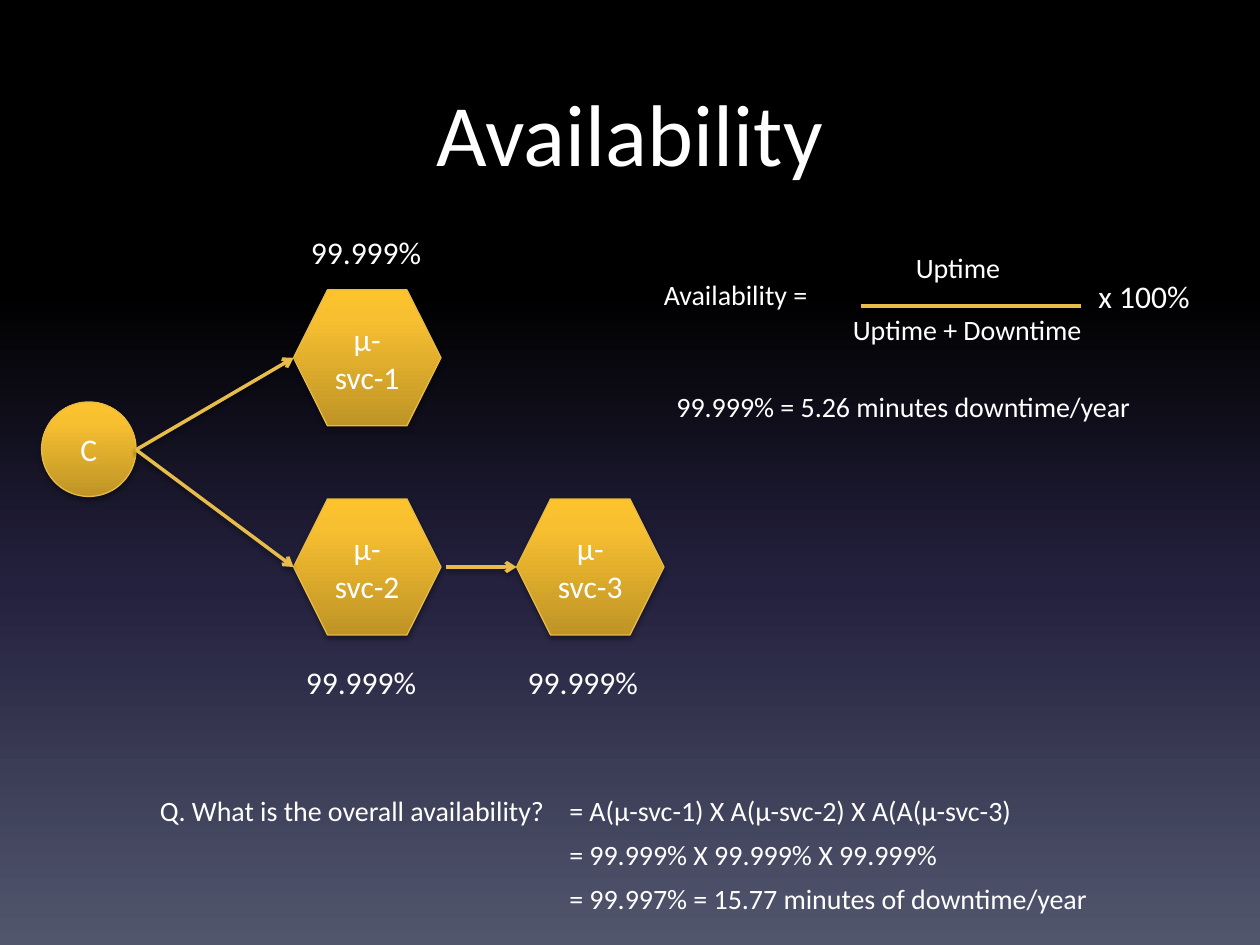
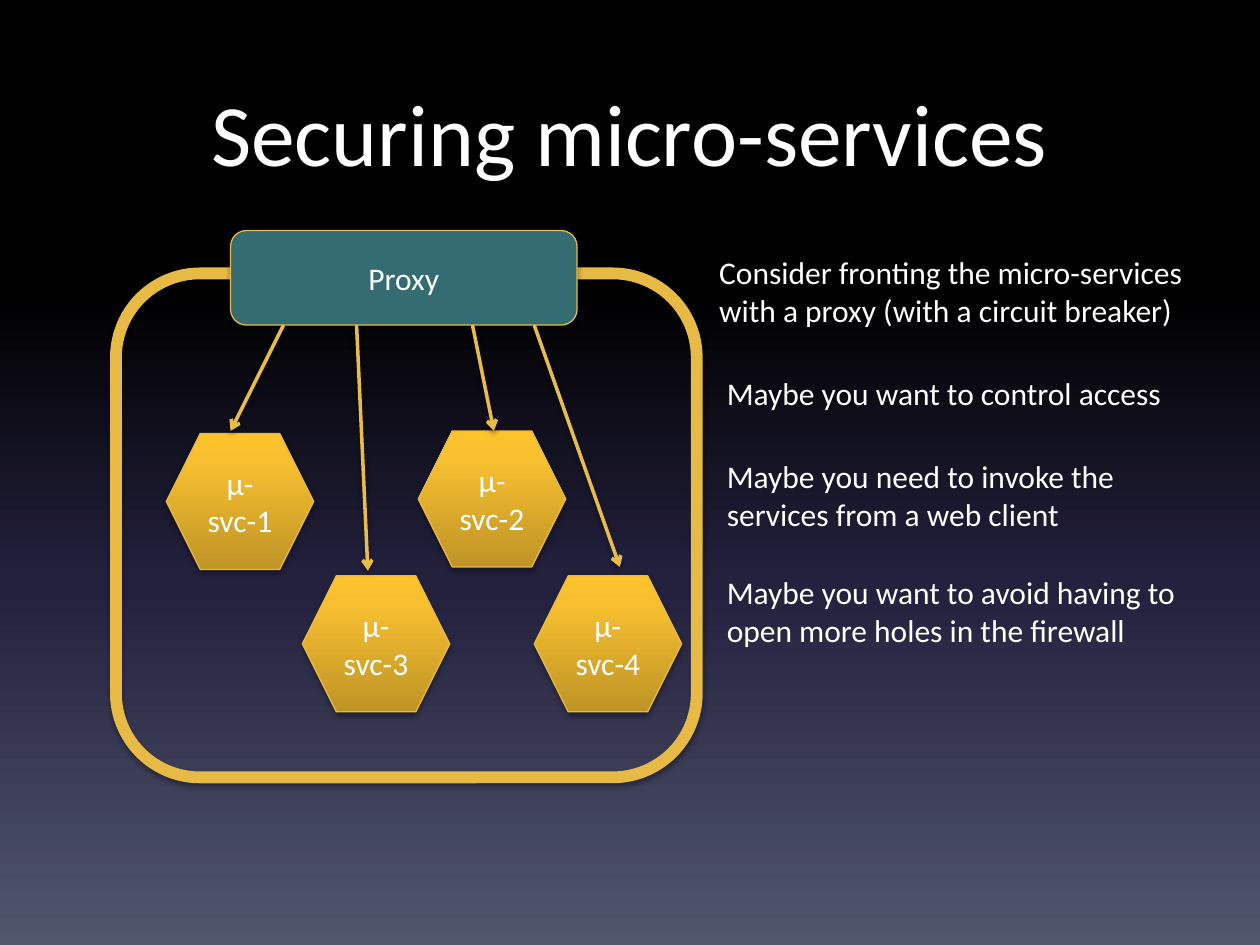
from lxml import etree
from pptx import Presentation
from pptx.dml.color import RGBColor
from pptx.enum.shapes import MSO_CONNECTOR, MSO_SHAPE
from pptx.enum.text import MSO_ANCHOR, MSO_AUTO_SIZE, PP_ALIGN
from pptx.oxml.ns import qn
from pptx.util import Inches, Pt

CENTER, LEFT = PP_ALIGN.CENTER, PP_ALIGN.LEFT
MIDDLE = MSO_ANCHOR.MIDDLE
GROW = MSO_AUTO_SIZE.SHAPE_TO_FIT_TEXT
OVAL, HEX, ROUND = MSO_SHAPE.OVAL, MSO_SHAPE.HEXAGON, MSO_SHAPE.ROUNDED_RECTANGLE
STRAIGHT = MSO_CONNECTOR.STRAIGHT

WHITE = RGBColor(0xFF, 0xFF, 0xFF)
BLACK = RGBColor(0x00, 0x00, 0x00)
NAVY = RGBColor(0x24, 0x21, 0x3E)
SLATE = RGBColor(0x51, 0x56, 0x6D)
TEAL = RGBColor(0x34, 0x6C, 0x71)
EDGE = RGBColor(0xE7, 0xBA, 0x45)
ARROW = RGBColor(0xE8, 0xBC, 0x4A)
DARK = RGBColor(0xBF, 0x94, 0x26)
GOLD = RGBColor(0xF8, 0xC0, 0x31)
BRIGHT = RGBColor(0xFD, 0xC3, 0x2D)
SKY = [(0, BLACK), (31, BLACK), (62, NAVY), (100, SLATE)]
METAL = [(0, DARK), (80, GOLD), (100, BRIGHT)]
FONT = "Calibri"


def write(frame, text, size=18, align=LEFT):
    frame.word_wrap = True
    para = frame.paragraphs[0]
    para.text = text
    para.alignment = align
    font = para.runs[0].font
    font.name, font.size, font.color.rgb = FONT, Pt(size), WHITE


def blend(fill, root, stops, angle):
    fill.gradient()
    fill.gradient_angle = angle
    track = next(root.iter(qn("a:gsLst")))
    for old in list(track):
        track.remove(old)
    for pos, color in stops:
        stop = etree.SubElement(track, qn("a:gs"), pos=str(pos * 1000))
        etree.SubElement(stop, qn("a:srgbClr"), val=str(color))


prs = Presentation()
prs.slide_width, prs.slide_height = Inches(10), Inches(7.5)

# Shared background and titles
master = prs.slide_master
blend(master.background.fill, master.element.cSld, SKY, 270)
pages = []
for name in ("Availability", "Securing micro-services"):
    page = prs.slides.add_slide(prs.slide_layouts[5])
    title = page.shapes.title
    title.left, title.top = Inches(0.5), Inches(0.5)
    title.width, title.height = Inches(9), Inches(1.25)
    title.text_frame.vertical_anchor = MIDDLE
    title.text_frame.margin_bottom = Inches(0.22)
    write(title.text_frame, name, size=50, align=CENTER)
    pages.append(page)
avail, secure = pages

# Nodes: page, shape, left, top, width, height, text, fill, line width
nodes = [
    (avail, OVAL, 0.33, 3.19, 0.75, 0.75, "C", METAL, 0.75),
    (secure, ROUND, 0.92, 2.17, 4.61, 4, "", None, 6.75),
    (secure, ROUND, 1.83, 1.83, 2.75, 0.75, "Proxy", TEAL, 0.75),
]
for page, spots in (
    (avail, [(2.33, 2.3), (2.33, 3.96), (4.1, 3.96)]),
    (secure, [(1.32, 3.44), (3.32, 3.42), (2.4, 4.57), (4.24, 4.57)]),
):
    for num, (x, y) in enumerate(spots, 1):
        nodes.append((page, HEX, x, y, 1.17, 1.08, f"μ-svc-{num}", METAL, 0.75))

shaded = []
for page, kind, x, y, w, h, text, paint, width in nodes:
    node = page.shapes.add_shape(kind, Inches(x), Inches(y), Inches(w), Inches(h))
    if paint is METAL:
        blend(node.fill, node.element.spPr, METAL, 90)
    elif paint:
        node.fill.solid()
        node.fill.fore_color.rgb = paint
    else:
        node.fill.background()
    node.line.color.rgb, node.line.width = EDGE, Pt(width)
    node.shadow.inherit = False
    shaded.append((node.element.spPr.find(qn("a:effectLst")), 1.8, 35))
    if text:
        node.text_frame.vertical_anchor = MIDDLE
        write(node.text_frame, text, align=CENTER)

# Arrows and the fraction bar: page, start, end, has arrowhead
links = [
    (avail, (1.08, 3.57), (2.33, 2.84), True),
    (avail, (1.08, 3.57), (2.33, 4.5), True),
    (avail, (3.54, 4.5), (4.1, 4.5), True),
    (avail, (6.83, 2.43), (8.58, 2.43), False),
    (secure, (2.25, 2.58), (1.83, 3.42), True),
    (secure, (2.83, 2.58), (2.92, 4.53), True),
    (secure, (3.75, 2.58), (3.92, 3.42), True),
    (secure, (4.24, 2.58), (4.92, 4.5), True),
]
for page, start, end, head in links:
    ends = [Inches(v) for v in start + end]
    link = page.shapes.add_connector(STRAIGHT, *ends)
    link.line.color.rgb, link.line.width = ARROW, Pt(2)
    props = link.element.spPr
    if head:
        etree.SubElement(props.find(qn("a:ln")), qn("a:tailEnd"), type="arrow")
    shaded.append((etree.SubElement(props, qn("a:effectLst")), 1.6, 38))

# Soft shadow straight below nodes and links
for effect, drop, alpha in shaded:
    shade = etree.SubElement(
        effect, qn("a:outerShdw"), blurRad=str(Pt(3.1)), dist=str(Pt(drop)),
        dir="5400000", rotWithShape="0")
    tint = etree.SubElement(shade, qn("a:srgbClr"), val=str(BLACK))
    etree.SubElement(tint, qn("a:alpha"), val=str(alpha * 1000))

# Text: page, left, top, width, height, size, words
notes = [
    (avail, 5.17, 2.15, 1.67, 0.37, 16, "Availability ="),
    (avail, 7.17, 1.94, 1.67, 0.37, 16, "Uptime"),
    (avail, 6.67, 2.43, 2.75, 0.37, 16, "Uptime + Downtime"),
    (avail, 8.62, 2.15, 1.67, 0.4, 18, "x 100%"),
    (avail, 5.27, 3.04, 4.42, 0.37, 16, "99.999% = 5.26 minutes downtime/year"),
    (avail, 1.17, 6.25, 3.58, 0.37, 16, "Q. What is the overall availability?"),
    (secure, 5.61, 1.96, 4, 0.71, 18,
     "Consider fronting the micro-services with a proxy (with a circuit breaker)"),
    (secure, 5.67, 2.92, 4, 0.4, 18, "Maybe you want to control access"),
    (secure, 5.67, 3.58, 4, 0.71, 18,
     "Maybe you need to invoke the services from a web client"),
    (secure, 5.67, 4.5, 4, 0.71, 18,
     "Maybe you want to avoid having to open more holes in the firewall"),
]
for x, y in ((2.37, 1.8), (2.33, 5.21), (4.09, 5.21)):
    notes.append((avail, x, y, 1.17, 0.4, 18, "99.999%"))
for row, text in enumerate((
    "= A(μ-svc-1) X A(μ-svc-2) X A(A(μ-svc-3)",
    "= 99.999% X 99.999% X 99.999%",
    "= 99.997% = 15.77 minutes of downtime/year",
)):
    notes.append((avail, 4.42, 6.25 + 0.35 * row, 5.27, 0.37, 16, text))

for page, x, y, w, h, size, text in notes:
    box = page.shapes.add_textbox(Inches(x), Inches(y), Inches(w), Inches(h))
    box.text_frame.auto_size = GROW
    write(box.text_frame, text, size=size)

prs.save("out.pptx")
